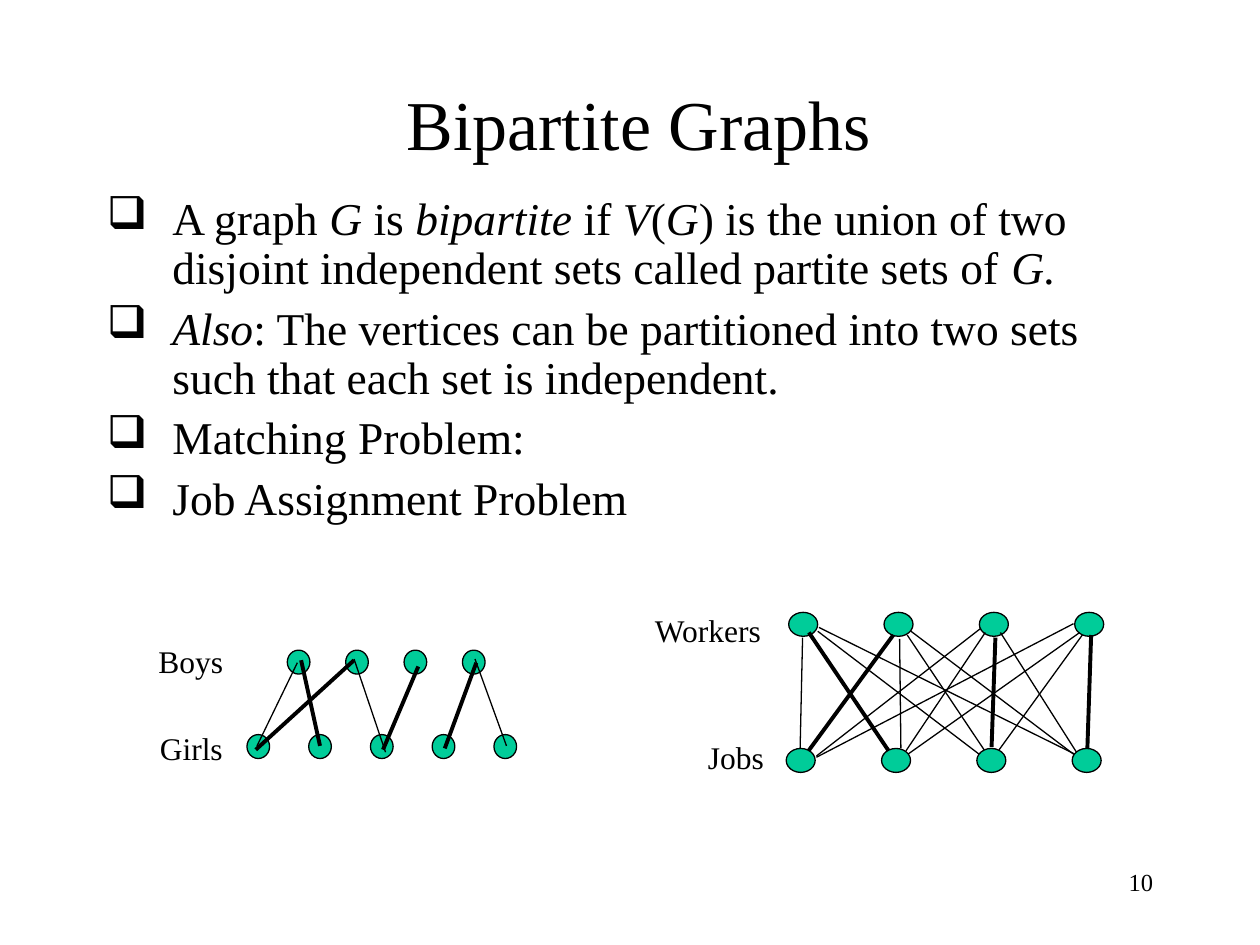
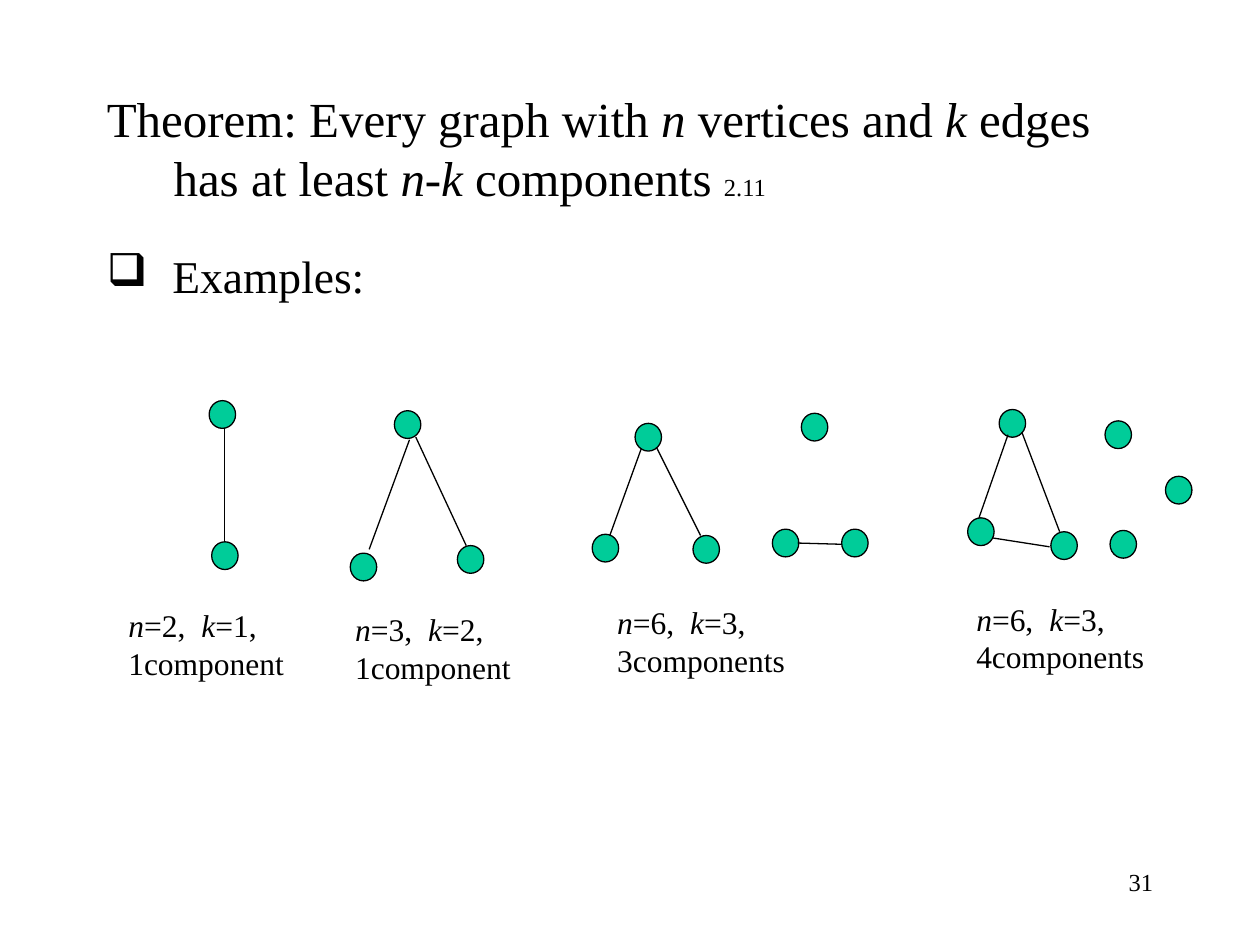
from pptx import Presentation
from pptx.dml.color import RGBColor
from pptx.enum.shapes import MSO_CONNECTOR, MSO_SHAPE
from pptx.enum.text import MSO_ANCHOR, PP_ALIGN
from pptx.oxml.ns import qn
from pptx.util import Inches, Pt
from lxml.etree import SubElement

BLACK = RGBColor(0x00, 0x00, 0x00)
GREEN = RGBColor(0x00, 0xCC, 0x99)
FONT = "Times New Roman"
THIN, THICK = 0.75, 2.25
BULLET = "❑"


class Deck:
    """Holds the shared style and the current slide."""

    def __init__(self):
        self.deck = Presentation()
        self.deck.slide_width, self.deck.slide_height = Inches(10), Inches(7.5)
        self.page = None

    def new_page(self, number):
        self.page = self.deck.slides.add_slide(self.deck.slide_layouts[6])
        self.text(7.17, 6.83, 2.08, 0.5, [str(number)], 14, alignment=PP_ALIGN.RIGHT)

    def span(self, para, words, size, italic=False):
        span = para.add_run()
        span.text = words
        style = {"name": FONT, "size": Pt(size), "italic": italic}
        for name, value in style.items():
            setattr(span.font, name, value)
        span.font.color.rgb = BLACK

    def text(self, left, top, width, height, lines, size, anchor=MSO_ANCHOR.TOP,
             indent=0, bullet=False, tab=None, **paragraph_format):
        """Add a text box; words between asterisks are italic. Return the last paragraph."""
        box = self.page.shapes.add_textbox(*map(Inches, (left, top, width, height)))
        frame = box.text_frame
        frame.word_wrap = True
        frame.vertical_anchor = anchor
        for index, line in enumerate(lines):
            para = frame.add_paragraph() if index else frame.paragraphs[0]
            properties = para._p.get_or_add_pPr()
            if indent:
                properties.set("marL", str(Inches(indent)))
                properties.set("indent", str(-Inches(indent)))
            if bullet:
                color = SubElement(properties, qn("a:buClr"))
                SubElement(color, qn("a:srgbClr"), val=str(BLACK))
                SubElement(properties, qn("a:buChar"), char=BULLET)
            if tab:
                stops = SubElement(properties, qn("a:tabLst"))
                SubElement(stops, qn("a:tab"), pos=str(Inches(tab)), algn="l")
            for name, value in paragraph_format.items():
                setattr(para, name, value)
            if index:
                para.space_before = Pt(6.5)
            for part, words in enumerate(line.split("*")):
                if words:
                    self.span(para, words, size, italic=part % 2 == 1)
        return para

    def title(self, top, line, size, **style):
        return self.text(0.75, top, 8.5, 1, [line], size, MSO_ANCHOR.MIDDLE, **style)

    def bullets(self, top, height, lines, **style):
        self.text(0.75, top, 8.5, height, lines, 26, indent=0.52, bullet=True, **style)

    def label(self, left, top, width, words, height=0.4, **style):
        self.text(left, top, width, height, [words], 18, **style)

    def node(self, left, top, width=0.21, height=0.22):
        node = self.page.shapes.add_shape(
            MSO_SHAPE.OVAL, *map(Inches, (left, top, width, height)))
        node.shadow.inherit = False
        node.fill.solid()
        node.fill.fore_color.rgb = GREEN
        node.line.color.rgb = BLACK
        node.line.width = Pt(THIN)

    def node_row(self, first, last, count, top, width):
        """Spread nodes evenly from the first to the last left position."""
        step = (last - first) / (count - 1)
        for index in range(count):
            self.node(first + index * step, top, width, 0.19)

    def edges(self, ends, weight=THIN):
        for end in ends:
            edge = self.page.shapes.add_connector(
                MSO_CONNECTOR.STRAIGHT, *map(Inches, end))
            edge.line.color.rgb = BLACK
            edge.line.width = Pt(weight)
            SubElement(edge._element.spPr, qn("a:effectLst"))


# Edges as start x, start y, end x, end y
COUPLE_EDGES = [(2.36, 5.26, 2.04, 5.92), (2.81, 5.23, 3.06, 5.97),
                (3.77, 5.23, 4.02, 5.92)]
COUPLE_MATCHING = [(2.39, 5.24, 2.54, 5.92), (2.81, 5.24, 2.03, 5.95),
                   (3.78, 5.26, 3.53, 5.94), (3.32, 5.29, 3.04, 5.95)]
JOB_EDGES = [
    (6.37, 5.06, 6.35, 5.95), (6.49, 5.01, 7.79, 6), (6.5, 4.98, 8.54, 5.99),
    (7.14, 5.07, 7.15, 5.94), (7.2, 5.04, 7.81, 5.95), (7.23, 5.01, 8.54, 6),
    (7.82, 5.02, 7.19, 5.96), (7.78, 4.99, 6.48, 6), (7.94, 5.02, 8.55, 5.98),
    (8.59, 5.04, 7.93, 5.95), (8.52, 4.95, 6.48, 6.01), (8.57, 5.02, 7.2, 5.99),
]
JOB_MATCHING = [(6.42, 5.02, 7.06, 5.97), (7.09, 5.04, 6.35, 6.05),
                (8.66, 5.04, 8.63, 5.94), (7.9, 5.06, 7.87, 5.93)]

# Each example: nodes, edges, label place (left, top, width), n, k, components
EXAMPLES = [
    ([(1.66, 3.18), (1.68, 4.3)],
     [(1.78, 3.4, 1.78, 4.3)],
     (0.92, 4.76, 1.53), 2, 1, "1component"),
    ([(3.13, 3.26), (3.63, 4.33), (2.78, 4.39)],
     [(3.25, 3.49, 2.93, 4.36), (3.3, 3.47, 3.7, 4.33)],
     (2.72, 4.79, 1.53), 3, 2, "1component"),
    ([(5.04, 3.36), (4.7, 4.24), (5.5, 4.25), (6.36, 3.28), (6.13, 4.2), (6.68, 4.2)],
     [(5.09, 3.56, 4.84, 4.25), (5.21, 3.55, 5.56, 4.25), (6.33, 4.31, 6.68, 4.32)],
     (4.8, 4.74, 1.77), 6, 3, "3components"),
    ([(7.93, 3.25), (7.68, 4.11), (8.34, 4.22), (8.77, 3.34), (9.25, 3.78), (8.81, 4.21)],
     [(8, 3.45, 7.77, 4.11), (8.11, 3.43, 8.41, 4.22), (7.88, 4.27, 8.33, 4.34)],
     (7.65, 4.71, 1.8), 6, 3, "4components"),
]


def bipartite_page(deck):
    deck.new_page(10)
    deck.title(0.47, " Bipartite Graphs", 40, alignment=PP_ALIGN.CENTER)
    deck.bullets(1.51, 2.94, [
        "A graph *G* is *bipartite* if *V*(*G*) is the union of two disjoint "
        "independent sets called partite sets of *G.*",
        "*Also*: The vertices can be partitioned into two sets such that each set "
        "is independent.",
        "Matching Problem:",
        "Job Assignment Problem",
    ], line_spacing=0.9)

    # Boys and girls
    deck.node_row(2.28, 3.67, 4, 5.16, 0.18)
    deck.node_row(1.96, 3.92, 5, 5.83, 0.18)
    deck.edges(COUPLE_EDGES)
    deck.edges(COUPLE_MATCHING, THICK)
    deck.label(1.16, 5.05, 0.73, "Boys")
    deck.label(1.17, 5.74, 0.81, "Girls")

    # Workers and jobs
    deck.node_row(6.26, 8.53, 4, 4.86, 0.23)
    deck.edges(JOB_EDGES)
    deck.edges(JOB_MATCHING, THICK)
    deck.node_row(6.24, 8.51, 4, 5.94, 0.23)
    deck.label(5.1, 4.8, 1.07, "Workers")
    deck.label(5.52, 5.81, 0.67, "Jobs")


def components_page(deck):
    deck.new_page(31)
    theorem = deck.title(
        0.67, "Theorem: Every graph with *n* vertices and *k* edges has at least "
        "*n-k* components ", 28, indent=0.53)
    deck.span(theorem, "2.11", 14)
    deck.bullets(1.92, 0.61, ["Examples:"])

    # Example graphs with their counts
    for nodes, edges, place, n, k, components in EXAMPLES:
        for left, top in nodes:
            deck.node(left, top)
        deck.edges(edges)
        deck.label(*place, f"*n*={n},\t*k*={k}, {components}", height=0.7, tab=0.58)


def main():
    deck = Deck()
    bipartite_page(deck)
    components_page(deck)
    deck.deck.save("out.pptx")


if __name__ == "__main__":
    main()
